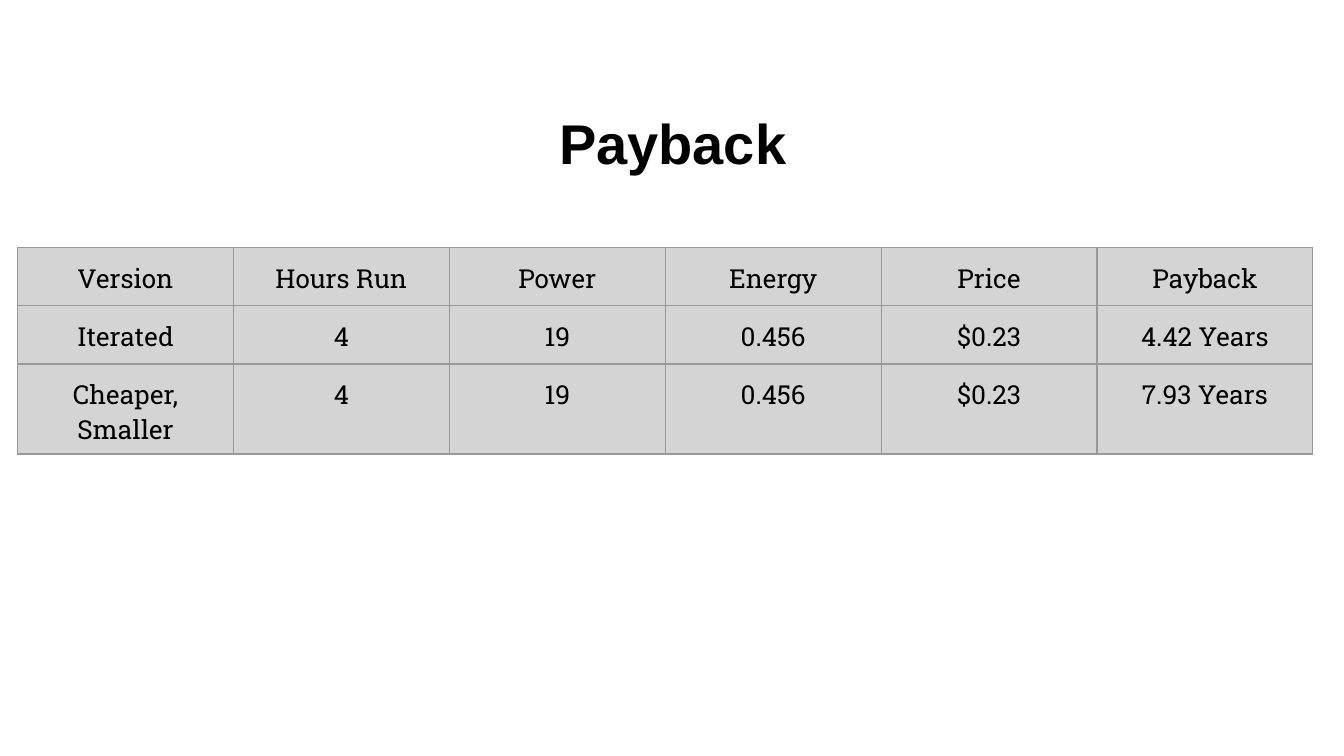
from lxml.etree import SubElement
from pptx import Presentation
from pptx.dml.color import RGBColor
from pptx.enum.text import MSO_ANCHOR, PP_ALIGN
from pptx.oxml.ns import qn
from pptx.util import Pt

BLACK = RGBColor(0x00, 0x00, 0x00)
CELL_GRAY = RGBColor(0xD4, 0xD4, 0xD4)
BORDER_GRAY = RGBColor(0x99, 0x99, 0x99)

ROWS = [
    ("Version", "Hours Run", "Power", "Energy", "Price", "Payback"),
    ("Iterated", "4", "19", "0.456", "$0.23", "4.42 Years"),
    ("Cheaper, Smaller", "4", "19", "0.456", "$0.23", "7.93 Years"),
]
ROW_HEIGHTS = (31.3, 31.3, 48.2)
COLUMN_WIDTH = 115.68
INSET = Pt(7.2)


def style_paragraph(paragraph, font_name, size, bold=False):
    paragraph.alignment = PP_ALIGN.CENTER
    font = paragraph.font
    font.name = font_name
    font.size = Pt(size)
    font.bold = bold
    font.color.rgb = BLACK


def add_title(slide, text):
    title = slide.shapes.add_textbox(Pt(9.4), Pt(48.2), Pt(702), Pt(87.1))
    frame = title.text_frame
    frame.word_wrap = True
    frame.vertical_anchor = MSO_ANCHOR.TOP
    frame.margin_left = frame.margin_right = frame.margin_bottom = INSET
    frame.margin_top = Pt(10)
    frame.text = text
    style_paragraph(frame.paragraphs[0], "Arial", 30, bold=True)


def add_borders(cell):
    properties = cell._tc.get_or_add_tcPr()
    for side in ("a:lnL", "a:lnR", "a:lnT", "a:lnB"):
        border = SubElement(properties, qn(side), w=str(Pt(0.75)))
        fill = SubElement(border, qn("a:solidFill"))
        SubElement(fill, qn("a:srgbClr"), val=str(BORDER_GRAY))


def fill_cell(cell, text):
    cell.text = text
    cell.margin_left = cell.margin_right = cell.margin_top = INSET
    cell.margin_bottom = Pt(3.6)
    cell.vertical_anchor = MSO_ANCHOR.TOP
    style_paragraph(cell.text_frame.paragraphs[0], "Roboto Slab", 14)
    add_borders(cell)
    cell.fill.solid()
    cell.fill.fore_color.rgb = CELL_GRAY


def add_payback_table(slide):
    column_count = len(ROWS[0])
    table = slide.shapes.add_table(
        len(ROWS), column_count, Pt(9.4), Pt(132.4),
        Pt(COLUMN_WIDTH * column_count), Pt(sum(ROW_HEIGHTS)),
    ).table
    table.first_row = False
    table.horz_banding = False
    for column in table.columns:
        column.width = Pt(COLUMN_WIDTH)
    for row, height, values in zip(table.rows, ROW_HEIGHTS, ROWS):
        row.height = Pt(height)
        for cell, value in zip(row.cells, values):
            fill_cell(cell, value)


def main():
    presentation = Presentation()
    presentation.slide_width = Pt(720)
    presentation.slide_height = Pt(405)
    slide = presentation.slides.add_slide(presentation.slide_layouts[6])
    add_title(slide, "Payback")
    add_payback_table(slide)
    presentation.save("out.pptx")


if __name__ == "__main__":
    main()
